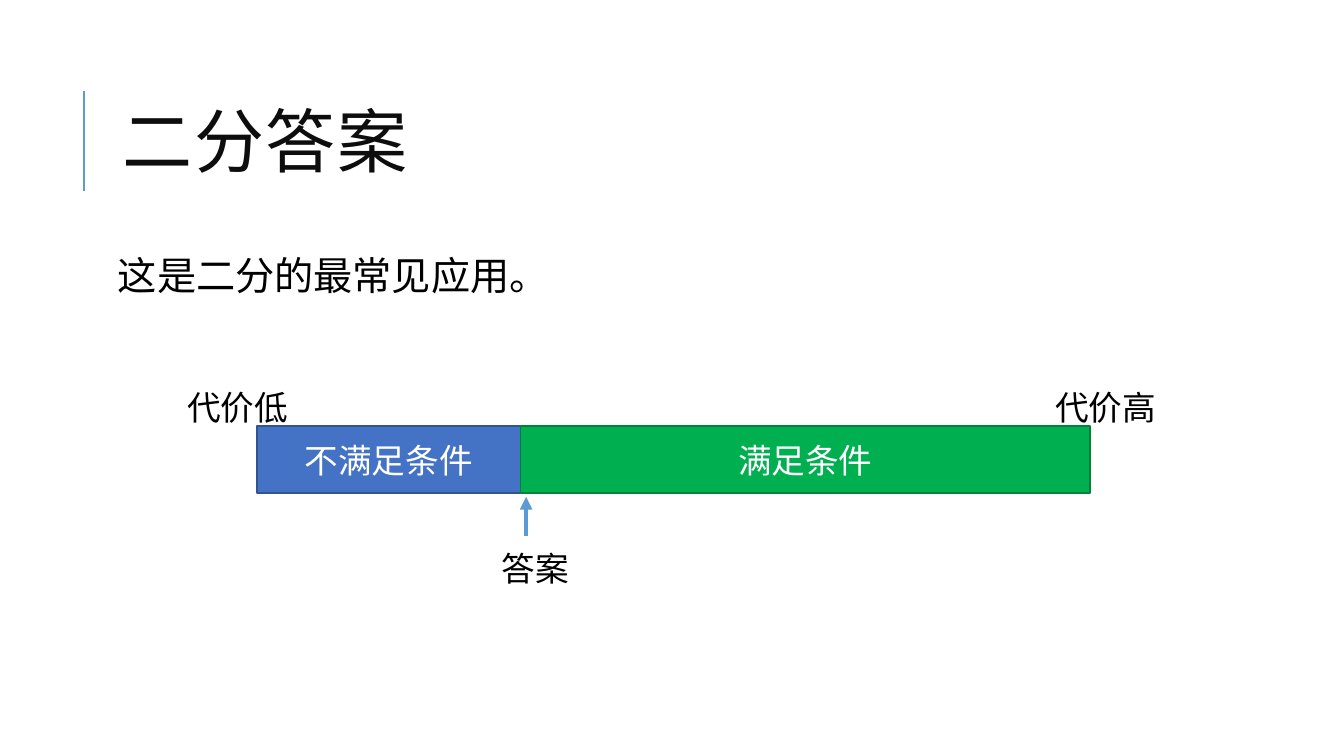
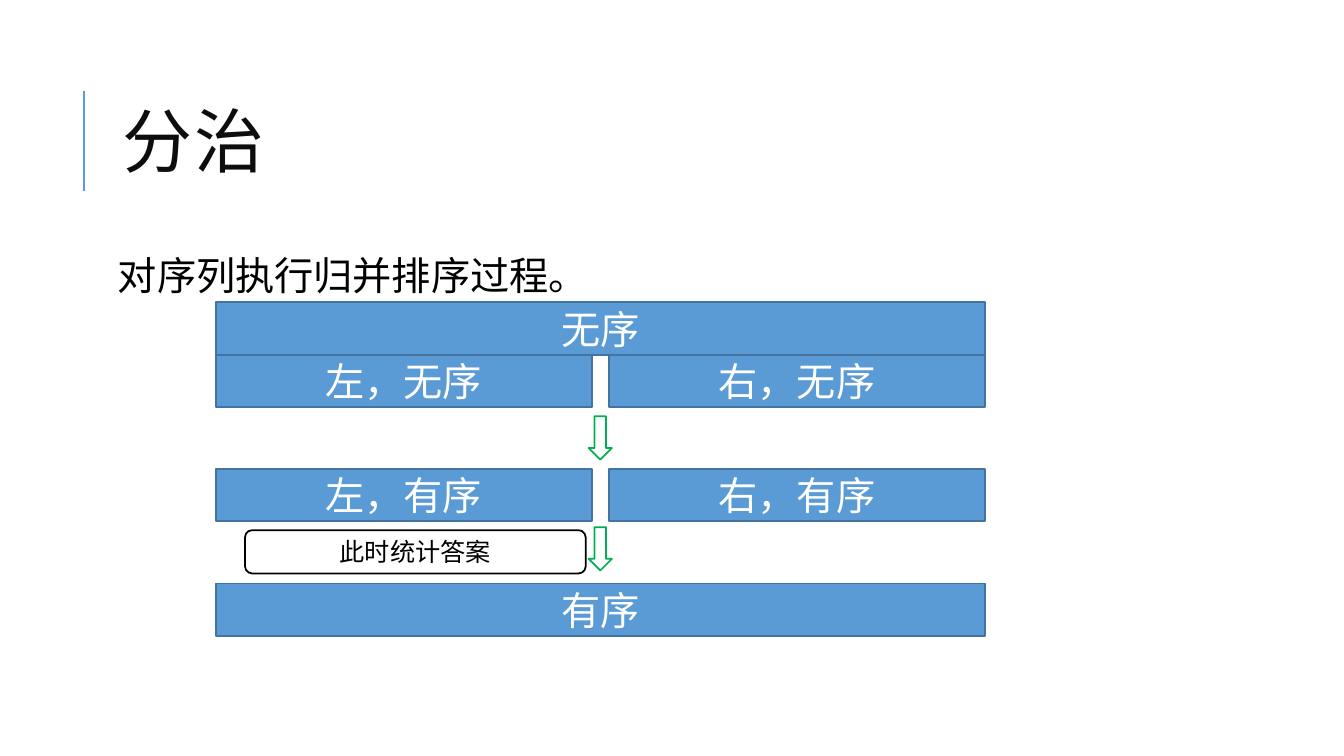
"""Build two slides on binary search over the answer and on divide and conquer."""
import lxml.etree
import pptx
import pptx.dml.color
import pptx.enum.shapes
import pptx.enum.text
import pptx.oxml.ns
import pptx.util

RGBColor = pptx.dml.color.RGBColor
Shapes = pptx.enum.shapes.MSO_SHAPE
Align = pptx.enum.text.PP_ALIGN
Anchor = pptx.enum.text.MSO_ANCHOR
qn = pptx.oxml.ns.qn

WHITE = RGBColor(0xFF, 0xFF, 0xFF)
BLACK = RGBColor(0x00, 0x00, 0x00)
TITLE_COLOR = RGBColor(0x0D, 0x0D, 0x0D)
SKY = RGBColor(0x5B, 0x9B, 0xD5)
SKY_EDGE = RGBColor(0x43, 0x73, 0x9E)
BLUE = RGBColor(0x44, 0x72, 0xC4)
BLUE_EDGE = RGBColor(0x32, 0x54, 0x91)
GREEN = RGBColor(0x00, 0xB0, 0x50)
GREEN_EDGE = RGBColor(0x00, 0x82, 0x3B)

FONT = "Noto Sans Mono"
SLIDE_WIDTH = pptx.util.Inches(13.33)
SLIDE_HEIGHT = pptx.util.Inches(7.5)
TITLE_AREA = (8.4, 8.53, 79.7, 21.87)
BODY_AREA = (8.4, 33.33, 79.7, 58.67)
TITLE_RULE = (6.25, 25.33, 6.25, 12)


def place(left, top, width, height):
    """Turn percentages of the slide's width and height into lengths."""
    return [round(size * share / 100) for size, share in
            zip((SLIDE_WIDTH, SLIDE_HEIGHT) * 2, (left, top, width, height))]


def add_run(paragraph, text, size, color, spacing=None):
    """Append one styled run, with letter spacing in points."""
    run = paragraph.add_run()
    run.text = text
    run.font.size = pptx.util.Pt(size)
    run.font.color.rgb = color
    run.font.name = FONT
    properties = run._r.get_or_add_rPr()
    lxml.etree.SubElement(properties, qn("a:ea"), typeface=FONT)
    if spacing is not None:
        properties.set("spc", str(spacing * 100))


def add_line(slide, ends, width, arrow=False):
    """Draw a straight line, optionally with an arrowhead at its end."""
    line = slide.shapes.add_connector(
        pptx.enum.shapes.MSO_CONNECTOR.STRAIGHT, *place(*ends))
    line.line.color.rgb = SKY
    line.line.width = pptx.util.Pt(width)
    if arrow:
        lxml.etree.SubElement(line.line._get_or_add_ln(), qn("a:tailEnd"), type="triangle")
    lxml.etree.SubElement(line.element.spPr, qn("a:effectLst"))
    return line


def add_block(slide, area, fill, edge, text="", size=28, color=WHITE, kind=Shapes.RECTANGLE):
    """Draw a filled, outlined shape with centred text."""
    block = slide.shapes.add_shape(kind, *place(*area))
    block.shadow.inherit = False
    block.fill.solid()
    block.fill.fore_color.rgb = fill
    block.line.color.rgb = edge
    block.line.width = pptx.util.Pt(1.25)
    if text:
        block.text_frame.vertical_anchor = Anchor.MIDDLE
        paragraph = block.text_frame.paragraphs[0]
        paragraph.alignment = Align.CENTER
        add_run(paragraph, text, size, color)


def add_label(slide, left, top, width, text):
    """Write a free-standing label."""
    label = slide.shapes.add_textbox(*place(left, top, width, 6.67))
    label.text_frame.word_wrap = True
    add_run(label.text_frame.paragraphs[0], text, 24, BLACK)


def prepare_layout(presentation):
    """Set the areas and the title rule that all slides share."""
    layout = presentation.slide_layouts[1]
    for placeholder in list(layout.placeholders):
        index = placeholder.placeholder_format.idx
        if index > 1:
            placeholder.element.getparent().remove(placeholder.element)
            continue
        area = place(*(BODY_AREA if index else TITLE_AREA))
        placeholder.left, placeholder.top, placeholder.width, placeholder.height = area
    return layout


def add_slide(presentation, layout, title, statement):
    """Add a slide with its title and its opening statement."""
    slide = presentation.slides.add_slide(layout)
    title_frame = slide.shapes.title.text_frame
    title_frame.vertical_anchor = Anchor.MIDDLE
    title_frame.auto_size = pptx.enum.text.MSO_AUTO_SIZE.NONE
    heading = title_frame.paragraphs[0]
    heading.alignment = Align.LEFT
    heading.line_spacing = 0.8
    add_run(heading, title, 50, TITLE_COLOR, spacing=1)

    body_frame = slide.placeholders[1].text_frame
    body_frame.auto_size = pptx.enum.text.MSO_AUTO_SIZE.NONE
    for side in ("left", "top", "right", "bottom"):
        setattr(body_frame, f"margin_{side}", pptx.util.Inches(0.05))
    paragraph = body_frame.paragraphs[0]
    paragraph.line_spacing = 0.9
    paragraph.space_before = pptx.util.Pt(12)
    paragraph.space_after = pptx.util.Pt(2)
    properties = paragraph._p.get_or_add_pPr()
    properties.set("marL", "0")
    properties.set("indent", "0")
    lxml.etree.SubElement(properties, qn("a:buNone"))
    add_run(paragraph, statement, 28, BLACK)
    return slide


def add_answer_range(slide):
    """Draw the cost range, split where the answer lies."""
    left, split, right = 19.13, 38.73, 81.1
    top, height = 56.4, 8.8
    add_block(slide, (left, top, split - left, height), BLUE, BLUE_EDGE, "不满足条件", 24)
    add_block(slide, (split, top, right - split, height), GREEN, GREEN_EDGE, "满足条件", 24)
    add_label(slide, 13.2, 50.53, 10.35, "代价低")
    add_label(slide, 77.78, 50.53, 10.35, "代价高")
    add_line(slide, (39.15, 70.93, 39.15, 65.73), 3, arrow=True)
    add_label(slide, 36.6, 71.87, 8.55, "答案")


def add_merge_sort(slide):
    """Draw the sequence as it is split, sorted and merged."""
    left, width, height, gap = 16.05, 57.23, 6.93, 1.27
    arrow_width, step_height = 1.73, 5.73
    rows = [
        (40, ["无序"]),
        (40 + height, ["左，无序", "右，无序"]),
        (62, ["左，有序", "右，有序"]),
        (77.2, ["有序"]),
    ]
    for top, texts in rows:
        part = (width - gap * (len(texts) - 1)) / len(texts)
        for column, text in enumerate(texts):
            area = (left + column * (part + gap), top, part, height)
            add_block(slide, area, SKY, SKY_EDGE, text)
    for top in (55.07, 69.73):
        area = (left + (width - arrow_width) / 2, top, arrow_width, step_height)
        add_block(slide, area, WHITE, GREEN, kind=Shapes.DOWN_ARROW)
    add_block(slide, (18.23, 70.13, 25.35, step_height), WHITE, BLACK,
              "此时统计答案", 18, BLACK, Shapes.ROUNDED_RECTANGLE)


def main():
    """Build and save the presentation."""
    presentation = pptx.Presentation()
    presentation.slide_width = SLIDE_WIDTH
    presentation.slide_height = SLIDE_HEIGHT
    layout = prepare_layout(presentation)
    search = add_slide(presentation, layout, "二分答案", "这是二分的最常见应用。")
    layout.shapes.element.append(add_line(search, TITLE_RULE, 1.5).element)
    add_answer_range(search)
    conquer = add_slide(presentation, layout, "分治", "对序列执行归并排序过程。")
    add_merge_sort(conquer)
    presentation.save("out.pptx")


if __name__ == "__main__":
    main()
